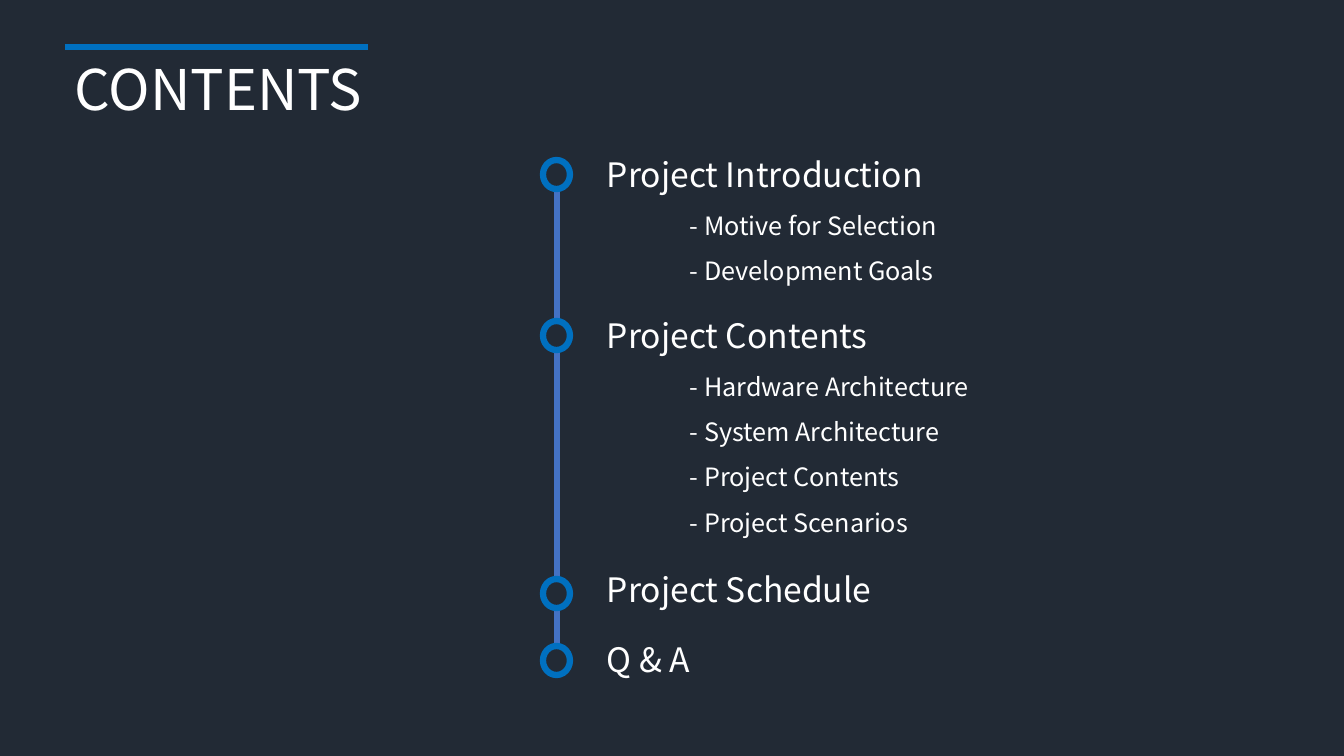
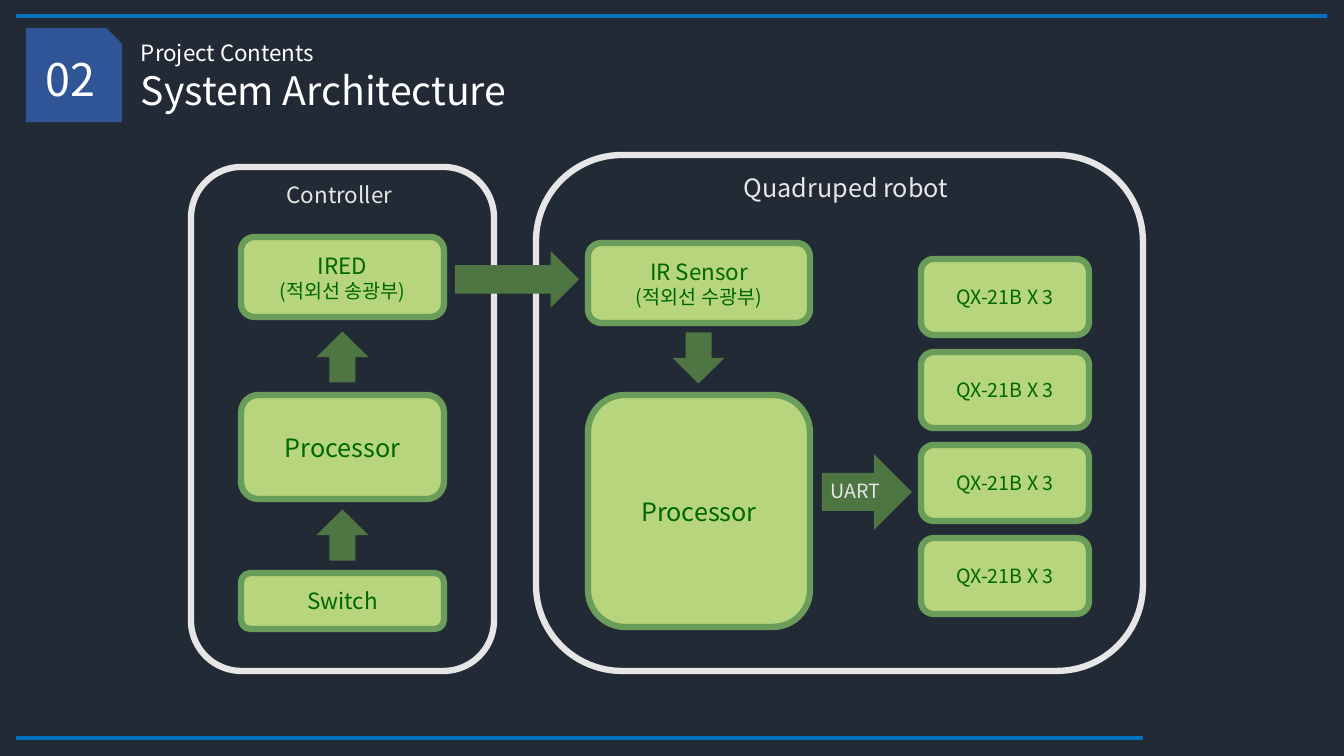
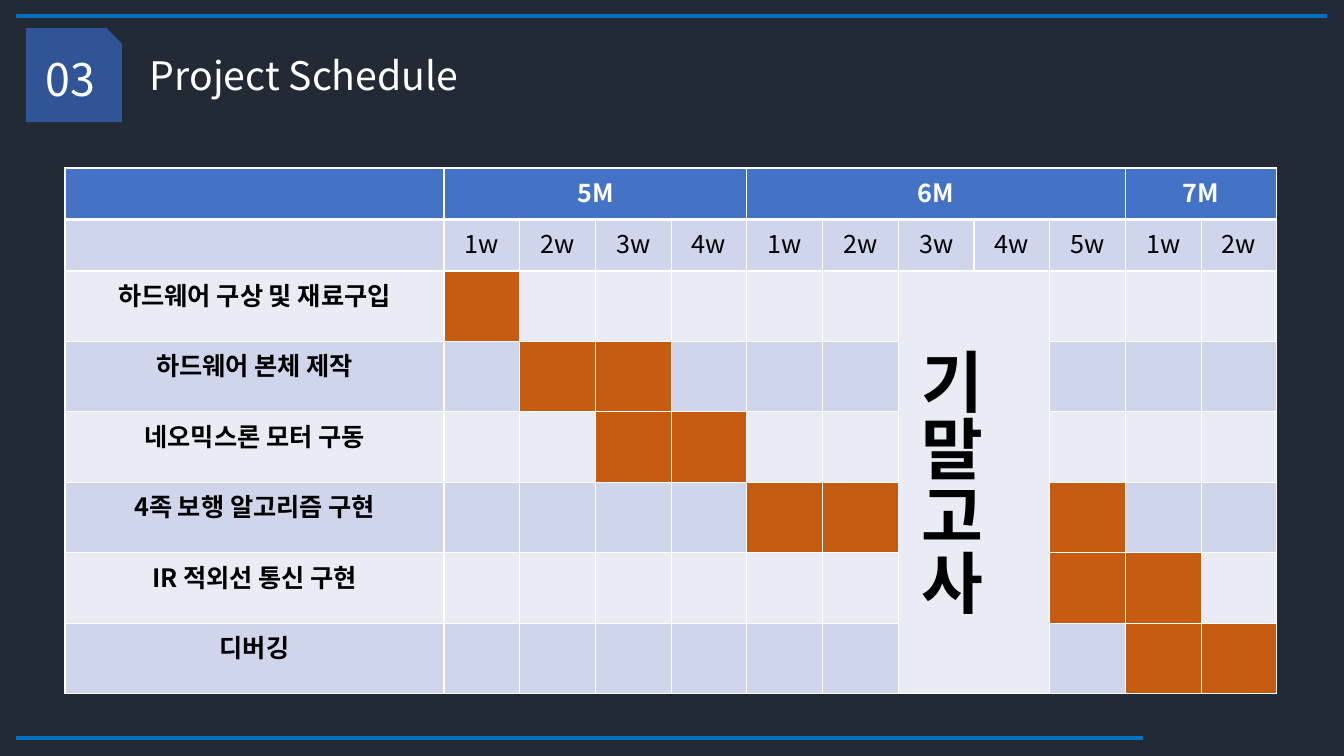
"""Build three slides of a robot project: contents, system architecture and schedule."""
from lxml import etree
from pptx import Presentation
from pptx.dml.color import RGBColor
from pptx.enum.shapes import MSO_CONNECTOR, MSO_SHAPE
from pptx.enum.text import MSO_ANCHOR, PP_ALIGN
from pptx.oxml.ns import qn
from pptx.util import Emu, Pt

SCALE = 914400 / 100.8
FONT = "Noto Sans CJK KR"
NIGHT = RGBColor(0x22, 0x2A, 0x35)
ACCENT = RGBColor(0x00, 0x70, 0xC0)
RAIL_BLUE = RGBColor(0x44, 0x72, 0xC4)
BADGE_BLUE = RGBColor(0x2F, 0x55, 0x97)
WHITE = RGBColor(0xFF, 0xFF, 0xFF)
BLACK = RGBColor(0x00, 0x00, 0x00)
PALE = RGBColor(0xE6, 0xE6, 0xE6)
LIME = RGBColor(0xB6, 0xD5, 0x7C)
LEAF = RGBColor(0x6A, 0x9C, 0x5A)
ARROW_GREEN = RGBColor(0x4F, 0x75, 0x43)
DARK_GREEN = RGBColor(0x00, 0x66, 0x00)
BAND_DARK = RGBColor(0xCF, 0xD5, 0xEA)
BAND_LIGHT = RGBColor(0xE9, 0xEB, 0xF5)
BUSY = RGBColor(0xC5, 0x5A, 0x11)


def place(slide, preset, box, fill=None, outline=None, rotation=0):
    """Add a preset shape, or a text box if preset is None, and return its text frame."""
    frame = [Emu(round(length * SCALE)) for length in box]
    if preset is None:
        text_frame = slide.shapes.add_textbox(*frame).text_frame
    else:
        shape = slide.shapes.add_shape(preset, *frame)
        shape.shadow.inherit = False
        shape.rotation = rotation
        for paint, colour in ((shape.fill, fill), (shape.line.fill, outline)):
            if colour is None:
                paint.background()
            else:
                paint.solid()
                paint.fore_color.rgb = colour
        if outline is not None:
            shape.line.width = Pt(4.5)
        text_frame = shape.text_frame
        text_frame.vertical_anchor = MSO_ANCHOR.MIDDLE
    text_frame.word_wrap = True
    return text_frame


def write(text_frame, text, sizes, colour=WHITE, align=PP_ALIGN.LEFT, spacing=None, bold=False):
    """Fill a text frame; the last size serves all remaining paragraphs."""
    text_frame.text = text
    for index, paragraph in enumerate(text_frame.paragraphs):
        paragraph.alignment = align
        paragraph.line_spacing = spacing
        for run in paragraph.runs:
            run.font.size = Pt(sizes[min(index, len(sizes) - 1)])
            run.font.bold = bold
            run.font.color.rgb = colour
            run.font.name = FONT
            etree.SubElement(run.font._element, qn("a:ea"), typeface=FONT)


deck = Presentation()
deck.slide_width = Emu(round(1344 * SCALE))
deck.slide_height = Emu(round(756 * SCALE))
deck.slide_master.background.fill.solid()
deck.slide_master.background.fill.fore_color.rgb = NIGHT
contents, architecture, schedule = [deck.slides.add_slide(deck.slide_layouts[6]) for _ in range(3)]

rules = [(contents, (557, 190, 557, 676), RAIL_BLUE, 4.5)]
for slide, number in ((architecture, "02"), (schedule, "03")):
    rules.append((slide, (16, 16, 1327, 16), ACCENT, 3))
    rules.append((slide, (16, 738, 1143, 738), ACCENT, 3))
    badge = place(slide, MSO_SHAPE.SNIP_1_RECTANGLE, (26, 28, 96, 94), BADGE_BLUE)
    write(badge, number, [32], align=PP_ALIGN.CENTER)
for slide, ends, colour, width in rules:
    rule = slide.shapes.add_connector(
        MSO_CONNECTOR.STRAIGHT, *[Emu(round(end * SCALE)) for end in ends])
    rule.line.color.rgb = colour
    rule.line.width = Pt(width)
    etree.SubElement(rule._element.spPr, qn("a:effectLst"))

place(contents, MSO_SHAPE.RECTANGLE, (65, 44, 303, 6), ACCENT)
sections = [
    ("Project Introduction", 149, 160, ["Motive for Selection", "Development Goals"]),
    ("Project Contents", 310, 321, ["Hardware Architecture", "System Architecture",
                                    "Project Contents", "Project Scenarios"]),
    ("Project Schedule", 564, 579, []),
    ("Q & A", 634, 646, []),
]
for heading, top, ring_top, topics in sections:
    place(contents, MSO_SHAPE.OVAL, (543, ring_top, 27, 29), NIGHT, ACCENT)
    write(place(contents, None, (597, top, 509, 50)), heading, [24])
    if topics:
        topic_list = place(contents, None, (680, top + 41, 509, 5 + 45 * len(topics)))
        write(topic_list, "\n".join(f"- {topic}" for topic in topics), [18], spacing=1.5)

titles = [
    (contents, (65, 50, 352, 78), "CONTENTS", 40),
    (architecture, (131, 34, 897, 37), "Project Contents", 16),
    (architecture, (131, 61, 897, 57), "System Architecture", 28),
    (schedule, (140, 46, 509, 57), "Project Schedule", 28),
]
for slide, box, title, size in titles:
    write(place(slide, None, box), title, [size])

arrows = [
    ((822, 454, 90, 76), 0),
    ((455, 251, 124, 57), 0),
    ((317, 331, 51, 52), 270),
    ((317, 509, 51, 52), 270),
    ((673, 332, 51, 52), 90),
]
systems = [
    ((536, 155, 607, 516), (686, 157, 320, 61), "Quadruped robot", 18),
    ((191, 167, 303, 504), (251, 165, 177, 60), "Controller", 16),
]
for outline_box, label_box, system, size in systems:
    place(architecture, MSO_SHAPE.ROUNDED_RECTANGLE, outline_box, outline=PALE)
    label = place(architecture, MSO_SHAPE.ROUNDED_RECTANGLE, label_box)
    write(label, system, [size], PALE, PP_ALIGN.CENTER)
for box, rotation in arrows:
    place(architecture, MSO_SHAPE.RIGHT_ARROW, box, ARROW_GREEN, rotation=rotation)

modules_shown = [
    ((241, 573, 203, 56), "Switch", [16]),
    ((241, 395, 203, 104), "Processor", [18]),
    ((241, 237, 203, 80), "IRED\n(적외선 송광부)", [16, 14]),
    ((588, 395, 222, 232), "Processor", [18]),
    ((588, 243, 222, 80), "IR Sensor\n(적외선 수광부)", [16, 14]),
]
modules_shown += [((921, 259 + 93 * leg, 168, 76), "QX-21B X 3", [14]) for leg in range(4)]
for box, module, sizes in modules_shown:
    block = place(architecture, MSO_SHAPE.ROUNDED_RECTANGLE, box, LIME, LEAF)
    write(block, module, sizes, DARK_GREEN, PP_ALIGN.CENTER)
write(place(architecture, None, (821, 474, 126, 34)), "UART", [14], PALE)

months = [("5M", 1, 4), ("6M", 5, 5), ("7M", 10, 2)]
tasks = [
    ("하드웨어 구상 및 재료구입", (1,)),
    ("하드웨어 본체 제작", (2, 3)),
    ("네오믹스론 모터 구동", (3, 4)),
    ("4족 보행 알고리즘 구현", (5, 6, 9)),
    ("IR 적외선 통신 구현", (9, 10)),
    ("디버깅", (10, 11)),
]
plan = schedule.shapes.add_table(
    8, 12, *[Emu(round(length * SCALE)) for length in (65, 168, 1212, 526)]).table
plan.first_row = plan.horz_banding = False
for index, column in enumerate(plan.columns):
    column.width = Emu(round((833 / 11 if index else 379) * SCALE))
for index, row in enumerate(plan.rows):
    row.height = Emu(round((51.5 if index < 2 else 70.5) * SCALE))

for row in range(8):
    for column in range(12):
        cell = plan.cell(row, column)
        properties = cell._tc.get_or_add_tcPr()
        for side in ("lnL", "lnR", "lnT", "lnB"):
            thick = (row, side) in ((0, "lnB"), (1, "lnT"))
            border = etree.SubElement(properties, qn(f"a:{side}"), w=str(Pt(3 if thick else 1)))
            paint = etree.SubElement(border, qn("a:solidFill"))
            etree.SubElement(paint, qn("a:srgbClr"), val=str(WHITE))
        cell.fill.solid()
        if row == 0:
            colour = RAIL_BLUE
        elif row > 1 and column in tasks[row - 2][1]:
            colour = BUSY
        else:
            colour = BAND_DARK if row % 2 else BAND_LIGHT
        cell.fill.fore_color.rgb = colour

for month, first, weeks in months:
    plan.cell(0, first).merge(plan.cell(0, first + weeks - 1))
    write(plan.cell(0, first).text_frame, month, [18], WHITE, PP_ALIGN.CENTER, bold=True)
    for week in range(weeks):
        write(plan.cell(1, first + week).text_frame, f"{week + 1}w", [18], BLACK, PP_ALIGN.CENTER)
for row, (task, _) in enumerate(tasks, 2):
    write(plan.cell(row, 0).text_frame, task, [18], BLACK, PP_ALIGN.CENTER, bold=True)

exams = plan.cell(2, 7)
exams.merge(plan.cell(7, 8))
exams.vertical_anchor = MSO_ANCHOR.MIDDLE
exams._tc.get_or_add_tcPr().set("vert", "eaVert")
write(exams.text_frame, "기말고사", [48], BLACK, PP_ALIGN.CENTER, bold=True)

deck.save("out.pptx")
